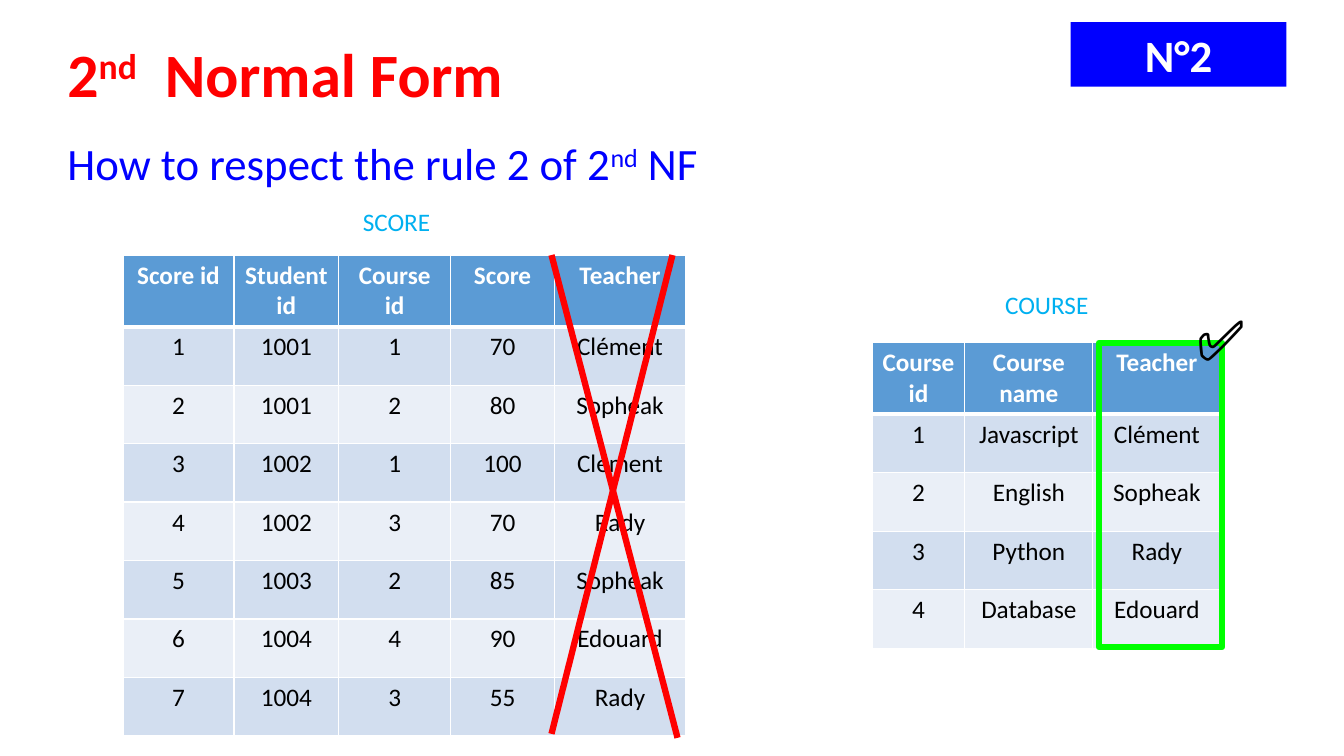
"""Build the slide that explains rule 2 of the second normal form."""
from dataclasses import dataclass
from typing import Any

from lxml.etree import SubElement
from pptx import Presentation
from pptx.dml.color import RGBColor
from pptx.enum.shapes import MSO_CONNECTOR as Connector, MSO_SHAPE as Preset
from pptx.enum.text import MSO_ANCHOR as Anchor, PP_ALIGN as Align
from pptx.oxml.ns import qn
from pptx.util import Inches, Pt


@dataclass(frozen=True)
class Theme:
    """Colours and type sizes of the slide."""
    font: str = "Calibri"
    red: str = "FF0000"
    blue: str = "0000FF"
    green: str = "00FF00"
    caption: str = "00B0F0"
    white: str = "FFFFFF"
    black: str = "000000"
    header: str = "5B9BD5"
    bands: tuple[str, str] = ("D2DEEF", "EAEFF7")
    title_size: int = 44
    mark_size: int = 40
    heading_size: int = 32
    body_size: int = 18
    thick_line: float = 4.5


THEME = Theme()


@dataclass(frozen=True)
class Box:
    """A rectangle in inches."""
    left: float
    top: float
    width: float
    height: float

    def lengths(self) -> list[int]:
        """Return the four values as lengths."""
        return [Inches(value) for value in (self.left, self.top, self.width, self.height)]


@dataclass(frozen=True)
class Label:
    """A text box whose odd-numbered pieces are superscript."""
    box: Box
    pieces: tuple[str, ...]
    size: int
    color: str
    bold: bool = False
    wrap: bool = True


@dataclass(frozen=True)
class Grid:
    """A table with a header row and banded body rows."""
    box: Box
    columns: tuple[float, ...]
    rows: tuple[str, ...]
    header_height: float = 0.64
    row_height: float = 0.58


@dataclass(frozen=True)
class Stroke:
    """A straight line between two points."""
    start: tuple[float, float]
    end: tuple[float, float]


LABELS = (
    Label(Box(0.57, 0.31, 4.76, 0.84), ("2", "nd", "  Normal Form"),
          THEME.title_size, THEME.red, bold=True, wrap=False),
    Label(Box(0.57, 1.3, 11.01, 0.64), ("How to respect the rule 2 of 2", "nd", " NF"),
          THEME.heading_size, THEME.blue),
    Label(Box(3.5, 2, 1.03, 0.4), ("SCORE",), THEME.body_size, THEME.caption),
    Label(Box(9.87, 2.82, 1.03, 0.4), ("COURSE",), THEME.body_size, THEME.caption),
)
CHECK_MARK = Label(Box(11.77, 2.97, 1, 0.77), ("✅",), THEME.mark_size, THEME.black)
BADGE_BOX = Box(10.62, 0.22, 2.14, 0.64)
TEACHER_FRAME = Box(10.9, 3.4, 1.22, 3.02)
GRIDS = (
    Grid(Box(1.22, 2.53, 5.59, 4.75), (1.1, 1.04, 1.11, 1.03, 1.3), (
        "Score id|Student id|Course id|Score|Teacher",
        "1|1001|1|70|Clément",
        "2|1001|2|80|Sopheak",
        "3|1002|1|100|Clément",
        "4|1002|3|70|Rady",
        "5|1003|2|85|Sopheak",
        "6|1004|4|90|Edouard",
        "7|1004|3|55|Rady",
    )),
    Grid(Box(8.65, 3.4, 3.46, 3.02), (0.92, 1.27, 1.27), (
        "Course id|Course name|Teacher",
        "1|Javascript|Clément",
        "2|English|Sopheak",
        "3|Python|Rady",
        "4|Database|Edouard",
    )),
)
CROSS = (Stroke((5.47, 7.28), (6.67, 2.53)), Stroke((6.72, 7.32), (5.47, 2.53)))


def apply_format(target: Any, values: dict[str, Any]) -> None:
    """Set each named attribute on the target."""
    for name, value in values.items():
        setattr(target, name, value)


def add_text(paragraph: Any, text: str, size: int, color: str, bold: bool = False) -> Any:
    """Add a formatted run to the paragraph."""
    run = paragraph.add_run()
    run.text = text
    apply_format(run.font, {"name": THEME.font, "size": Pt(size), "bold": bold})
    run.font.color.rgb = RGBColor.from_string(color)
    return run


def paint(fill: Any, color: str) -> None:
    """Give the fill one solid colour."""
    fill.solid()
    fill.fore_color.rgb = RGBColor.from_string(color)


def draw_label(slide: Any, label: Label) -> None:
    """Draw a text box with its superscripts."""
    frame = slide.shapes.add_textbox(*label.box.lengths()).text_frame
    frame.word_wrap = label.wrap
    for index, piece in enumerate(label.pieces):
        run = add_text(frame.paragraphs[0], piece, label.size, label.color, label.bold)
        if index % 2:
            run.font._element.set("baseline", "30000")


def draw_rectangle(slide: Any, box: Box) -> Any:
    """Draw a rectangle without a shadow."""
    shape = slide.shapes.add_shape(Preset.RECTANGLE, *box.lengths())
    shape.shadow.inherit = False
    return shape


def draw_badge(slide: Any) -> None:
    """Draw the numbered badge."""
    badge = draw_rectangle(slide, BADGE_BOX)
    paint(badge.fill, THEME.blue)
    badge.line.fill.background()
    apply_format(badge.text_frame, {"word_wrap": True, "vertical_anchor": Anchor.MIDDLE})
    paragraph = badge.text_frame.paragraphs[0]
    paragraph.alignment = Align.CENTER
    add_text(paragraph, "N°2", THEME.heading_size, THEME.white, bold=True)


def draw_borders(cell: Any, bottom: int) -> None:
    """Add white borders with the given bottom width."""
    properties = cell._tc.get_or_add_tcPr()
    for side, width in {"lnL": 1, "lnR": 1, "lnT": 1, "lnB": bottom}.items():
        border = SubElement(properties, qn(f"a:{side}"), w=str(Pt(width)))
        SubElement(SubElement(border, qn("a:solidFill")), qn("a:srgbClr"), val=THEME.white)


def draw_grid(slide: Any, grid: Grid) -> None:
    """Draw a banded table."""
    table = slide.shapes.add_table(
        len(grid.rows), len(grid.columns), *grid.box.lengths()).table
    for column, width in zip(table.columns, grid.columns):
        column.width = Inches(width)
    for row_index, texts in enumerate(grid.rows):
        is_header = row_index == 0
        table.rows[row_index].height = Inches(
            grid.header_height if is_header else grid.row_height)
        for column_index, text in enumerate(texts.split("|")):
            cell = table.cell(row_index, column_index)
            draw_borders(cell, 3 if is_header else 1)
            paint(cell.fill, THEME.header if is_header else THEME.bands[(row_index - 1) % 2])
            paragraph = cell.text_frame.paragraphs[0]
            paragraph.alignment = Align.CENTER
            add_text(paragraph, text, THEME.body_size,
                     THEME.white if is_header else THEME.black, is_header)


def style_line(line: Any, color: str) -> None:
    """Make the line thick and coloured."""
    line.color.rgb = RGBColor.from_string(color)
    line.width = Pt(THEME.thick_line)


def draw_stroke(slide: Any, stroke: Stroke) -> None:
    """Draw one red line of the cross."""
    ends = [Inches(value) for value in stroke.start + stroke.end]
    connector = slide.shapes.add_connector(Connector.STRAIGHT, *ends)
    style_line(connector.line, THEME.red)
    SubElement(connector._element.spPr, qn("a:effectLst"))


def main() -> None:
    """Build and save the presentation."""
    presentation = Presentation()
    apply_format(presentation, {"slide_width": Inches(13.33), "slide_height": Inches(7.5)})
    slide = presentation.slides.add_slide(presentation.slide_layouts[6])
    draw_badge(slide)
    for grid in GRIDS:
        draw_grid(slide, grid)
    for label in LABELS:
        draw_label(slide, label)
    for stroke in CROSS:
        draw_stroke(slide, stroke)
    frame = draw_rectangle(slide, TEACHER_FRAME)
    frame.fill.background()
    style_line(frame.line, THEME.green)
    draw_label(slide, CHECK_MARK)
    presentation.save("out.pptx")


if __name__ == "__main__":
    main()
